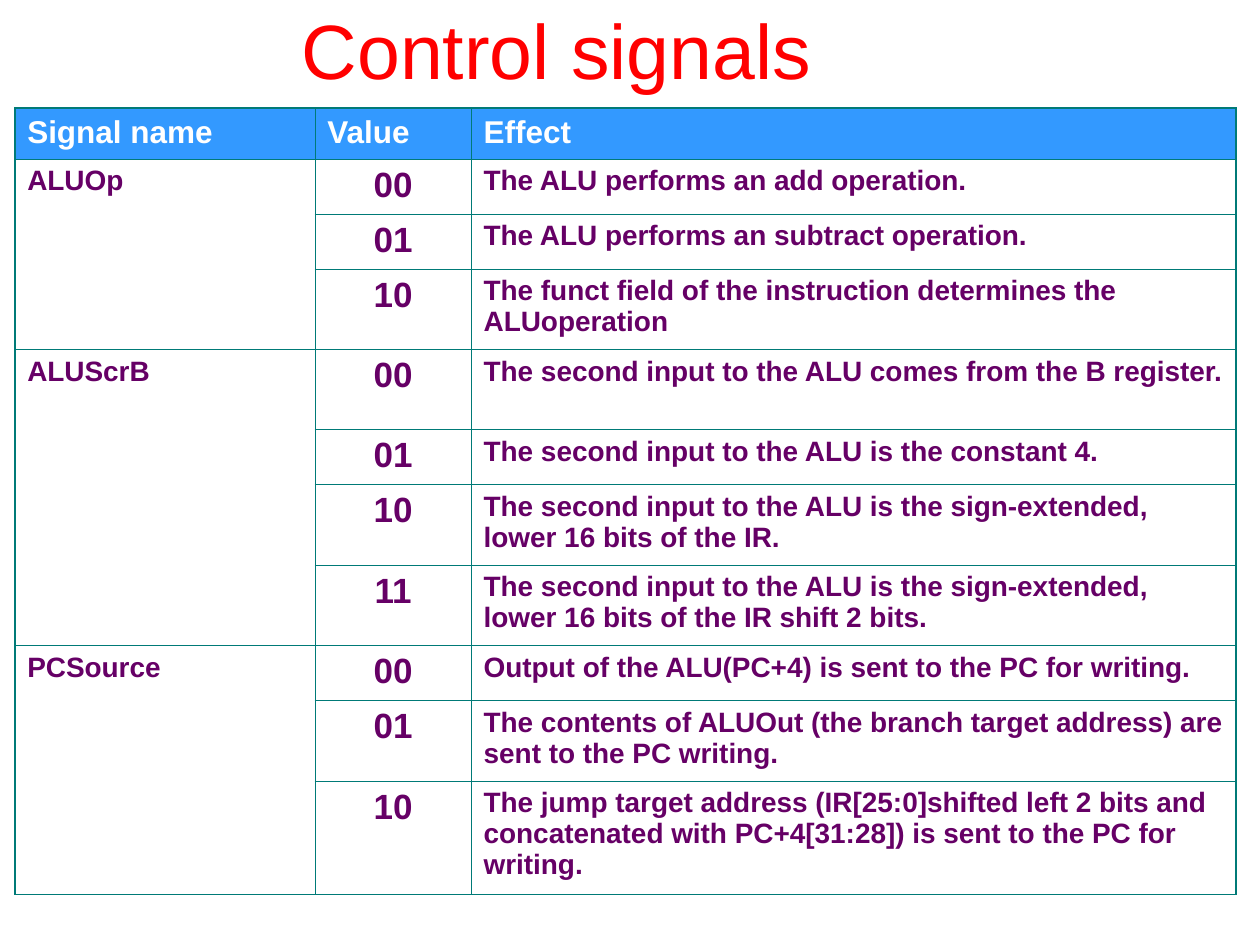
from lxml.etree import SubElement
from pptx import Presentation
from pptx.dml.color import RGBColor
from pptx.enum.text import MSO_ANCHOR, PP_ALIGN
from pptx.oxml.ns import qn
from pptx.util import Cm, Pt

TITLE_RED = "FF0000"
HEADER_BLUE = "3399FF"
HEADER_TEXT = "FFFFFF"
BODY_PURPLE = "660066"
BORDER_TEAL = "007A77"
INNER_LINE, OUTER_LINE = Pt(0.45), Pt(1.08)

# Row heights in centimetres, by the number of lines a row holds
HEADER_HEIGHT = 1.02
LINE_HEIGHTS = {1: 1.11, 2: 1.62, 3: 2.28}
COLUMN_WIDTHS = [6.05, 3.15, 15.42]

HEADINGS = ["Signal name", "Value", "Effect"]

# Each signal with its values: (value, effect, lines in the row)
SIGNALS = {
    "ALUOp": [
        ("00", "The ALU performs an add operation.", 1),
        ("01", "The ALU performs an subtract operation.", 1),
        ("10", "The funct field of the instruction determines the ALUoperation", 2),
    ],
    "ALUScrB": [
        ("00", "The second input to the ALU comes from the B register.", 2),
        ("01", "The second input to the ALU is the constant 4.", 1),
        ("10", "The second input to the ALU is the sign-extended, "
               "lower 16 bits of the IR.", 2),
        ("11", "The second input to the ALU is the sign-extended, "
               "lower 16 bits of the IR shift 2 bits.", 2),
    ],
    "PCSource": [
        ("00", "Output of the ALU(PC+4) is sent to the PC for writing.", 1),
        ("01", "The contents of ALUOut (the branch target address) are "
               "sent to the PC writing.", 2),
        ("10", "The jump target address (IR[25:0]shifted left 2 bits and "
               "concatenated with PC+4[31:28]) is sent to the PC for writing.", 3),
    ],
}


def color(hex_value):
    return RGBColor.from_string(hex_value)


class SlideBuilder:
    """Holds the style and the current slide."""

    font_name = "Arial"

    def __init__(self, slide):
        self.slide = slide

    def add_text(self, frame, text, size, text_color, bold=False, align=PP_ALIGN.LEFT):
        para = frame.paragraphs[0]
        para.alignment = align
        span = para.add_run()
        span.text = text
        span.font.name = self.font_name
        span.font.size = Pt(size)
        span.font.bold = bold
        span.font.color.rgb = color(text_color)

    def title(self, text, left, top, width, height):
        box = self.slide.shapes.add_textbox(Cm(left), Cm(top), Cm(width), Cm(height))
        frame = box.text_frame
        frame.word_wrap = True
        frame.vertical_anchor = MSO_ANCHOR.MIDDLE
        self.add_text(frame, text, 44, TITLE_RED, align=PP_ALIGN.CENTER)

    def table(self, left, top, widths, heights):
        frame = self.slide.shapes.add_table(
            len(heights), len(widths), Cm(left), Cm(top),
            Cm(sum(widths)), Cm(sum(heights)))
        table = frame.table
        table.horz_banding = False
        table.first_row = False
        for column, width in zip(table.columns, widths):
            column.width = Cm(width)
        for row, height in zip(table.rows, heights):
            row.height = Cm(height)
        return table

    def cell(self, cell, text, size, text_color, fill=None, align=PP_ALIGN.LEFT):
        cell.margin_left = cell.margin_right = Cm(0.25)
        cell.margin_top = cell.margin_bottom = Cm(0.13)
        cell.vertical_anchor = MSO_ANCHOR.TOP
        if fill:
            cell.fill.solid()
            cell.fill.fore_color.rgb = color(fill)
        self.add_text(cell.text_frame, text, size, text_color, True, align)

    def borders(self, table):
        last_row, last_column = len(table.rows) - 1, len(table.columns) - 1
        for row in range(last_row + 1):
            for column in range(last_column + 1):
                cell = table.cell(row, column)
                if row > 0:
                    cell.fill.background()
                outer = {"a:lnL": column == 0, "a:lnR": column == last_column,
                         "a:lnT": row == 0, "a:lnB": row == last_row}
                properties = cell._tc.get_or_add_tcPr()
                for position, (tag, is_outer) in enumerate(outer.items()):
                    width = OUTER_LINE if is_outer else INNER_LINE
                    line = SubElement(properties, qn(tag), w=str(int(width)))
                    solid = SubElement(line, qn("a:solidFill"))
                    SubElement(solid, qn("a:srgbClr"), val=BORDER_TEAL)
                    # Border lines come before the fill
                    properties.insert(position, line)


def main():
    deck = Presentation()
    deck.slide_width, deck.slide_height = Cm(25.4), Cm(19.05)
    page = SlideBuilder(deck.slides.add_slide(deck.slide_layouts[6]))

    # Title
    page.title("Control signals", 0.64, 0.13, 21.16, 1.7)

    # Table grid and heading row
    heights = [HEADER_HEIGHT] + [
        LINE_HEIGHTS[lines] for values in SIGNALS.values() for _, _, lines in values]
    table = page.table(0.3, 2.18, COLUMN_WIDTHS, heights)
    for column, heading in enumerate(HEADINGS):
        page.cell(table.cell(0, column), heading, 18, HEADER_TEXT, HEADER_BLUE)

    # Signals, each name spanning the rows of its values
    row = 1
    for signal, values in SIGNALS.items():
        name_cell = table.cell(row, 0)
        name_cell.merge(table.cell(row + len(values) - 1, 0))
        page.cell(name_cell, signal, 16, BODY_PURPLE)
        for value, effect, _ in values:
            page.cell(table.cell(row, 1), value, 20, BODY_PURPLE, align=PP_ALIGN.CENTER)
            page.cell(table.cell(row, 2), effect, 16, BODY_PURPLE)
            row += 1
    page.borders(table)

    deck.save("out.pptx")


if __name__ == "__main__":
    main()
